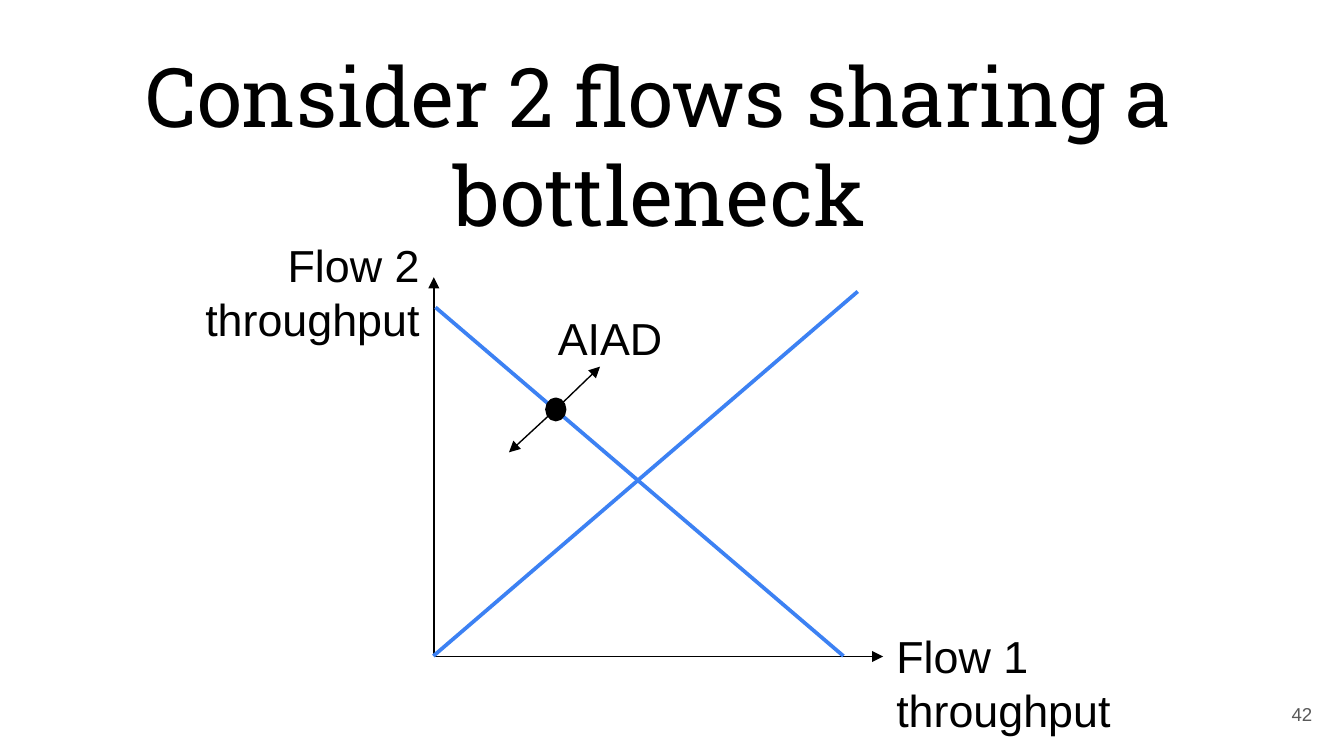
"""Build a slide that plots two flows sharing a bottleneck under AIAD."""

from lxml import etree
from pptx import Presentation
from pptx.dml.color import RGBColor
from pptx.enum.shapes import MSO_CONNECTOR, MSO_SHAPE
from pptx.enum.text import MSO_ANCHOR, MSO_AUTO_SIZE, PP_ALIGN
from pptx.oxml.ns import qn
from pptx.util import Cm, Pt

BLACK = RGBColor(0x00, 0x00, 0x00)
BLUE = RGBColor(0x3C, 0x81, 0xF3)
GRAY = RGBColor(0x59, 0x59, 0x59)

TITLE = "Consider 2 flows sharing a bottleneck"
TITLE_BOX = (0, 0.61, 24.92, 3.61)
PAGE_NUMBER = "42"
PAGE_NUMBER_BOX = (23.53, 12.95, 1.52, 1.09)

AXES = [
    ((8.2, 12.4), (8.2, 5.24)),
    ((8.23, 12.41), (16.69, 12.41)),
]
AXIS_LABELS = [
    (["Flow 1", "throughput"], (16.69, 11.76, 4.6, 2.31), PP_ALIGN.LEFT),
    (["Flow 2", "throughput"], (3.58, 4.37, 4.6, 2.31), PP_ALIGN.RIGHT),
]
FAIRNESS_AND_EFFICIENCY = [
    ((8.19, 12.4), (16.21, 5.51)),
    ((8.23, 5.81), (15.94, 12.4)),
]
OPERATING_POINT = (10.34, 7.55, 0.33, 0.38)
AIAD_MOVES = [
    ((10.49, 7.75), (11.34, 6.93)),
    ((10.54, 7.7), (9.62, 8.55)),
]
AIAD_LABEL = (["AIAD"], (10.26, 5.74, 2.51, 1.27), PP_ALIGN.RIGHT)


def add_line(shapes, start, end, color, width, arrow=False):
    line = shapes.add_connector(
        MSO_CONNECTOR.STRAIGHT, *(Cm(value) for value in start + end)
    )
    line.line.color.rgb = color
    line.line.width = Pt(width)
    if arrow:
        outline = line.line._get_or_add_ln()
        etree.SubElement(outline, qn("a:tailEnd"), type="triangle")
    etree.SubElement(line._element.spPr, qn("a:effectLst"))


def add_text(shapes, lines, box, alignment, font, size, color=BLACK):
    text_box = shapes.add_textbox(*(Cm(value) for value in box))
    frame = text_box.text_frame
    frame.word_wrap = True
    frame.text = "\n".join(lines)
    for paragraph in frame.paragraphs:
        paragraph.alignment = alignment
        paragraph.font.name = font
        paragraph.font.size = Pt(size)
        paragraph.font.color.rgb = color
    return frame


def add_label(shapes, lines, box, alignment):
    frame = add_text(shapes, lines, box, alignment, "Arial", 24)
    frame.word_wrap = False
    frame.auto_size = MSO_AUTO_SIZE.SHAPE_TO_FIT_TEXT


def set_margins(frame, margin):
    frame.margin_left = frame.margin_right = margin
    frame.margin_top = frame.margin_bottom = margin


def add_aiad(slide):
    shapes = slide.shapes.add_group_shape().shapes
    point = shapes.add_shape(
        MSO_SHAPE.FLOWCHART_CONNECTOR, *(Cm(value) for value in OPERATING_POINT)
    )
    point.shadow.inherit = False
    point.fill.solid()
    point.fill.fore_color.rgb = BLACK
    point.line.color.rgb = BLACK
    point.line.width = Pt(2)
    for start, end in AIAD_MOVES:
        add_line(shapes, start, end, BLACK, 0.75, arrow=True)
    add_label(shapes, *AIAD_LABEL)


def main():
    presentation = Presentation()
    presentation.slide_width = Cm(25.4)
    presentation.slide_height = Cm(14.29)
    slide = presentation.slides.add_slide(presentation.slide_layouts[6])
    shapes = slide.shapes

    title = add_text(shapes, [TITLE], TITLE_BOX, PP_ALIGN.CENTER, "Roboto Slab", 44)
    set_margins(title, Cm(0.25))

    for start, end in AXES:
        add_line(shapes, start, end, BLACK, 0.75, arrow=True)
    for label in AXIS_LABELS:
        add_label(shapes, *label)
    for start, end in FAIRNESS_AND_EFFICIENCY:
        add_line(shapes, start, end, BLUE, 2)
    add_aiad(slide)

    number = add_text(
        shapes, [PAGE_NUMBER], PAGE_NUMBER_BOX, PP_ALIGN.RIGHT, "Arial", 10, GRAY
    )
    number.vertical_anchor = MSO_ANCHOR.MIDDLE
    set_margins(number, Cm(0.25))

    presentation.save("out.pptx")


if __name__ == "__main__":
    main()
